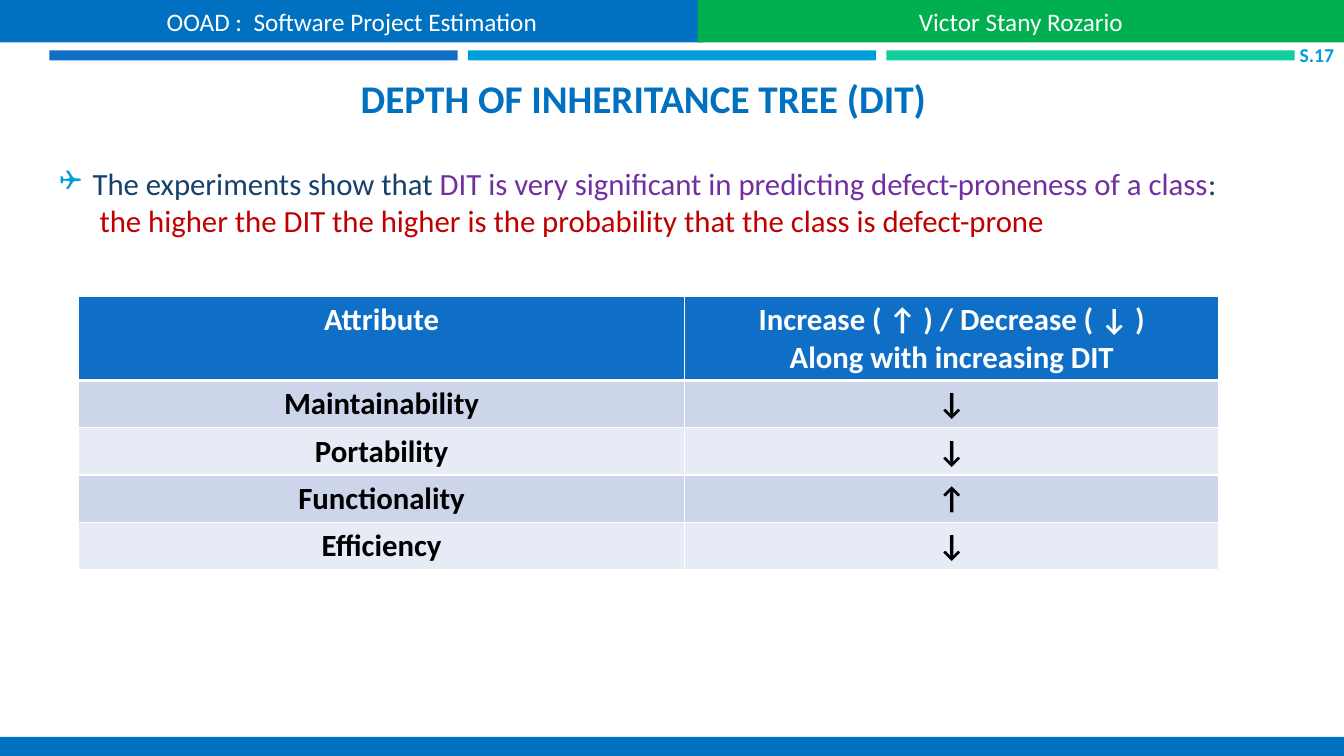
from dataclasses import dataclass

from lxml import etree
from pptx import Presentation
from pptx.dml.color import RGBColor
from pptx.enum.shapes import MSO_SHAPE
from pptx.enum.text import MSO_ANCHOR, PP_ALIGN
from pptx.oxml.ns import qn
from pptx.util import Inches, Pt

RECTANGLE = MSO_SHAPE.RECTANGLE
MIDDLE, TOP, BOTTOM = MSO_ANCHOR.MIDDLE, MSO_ANCHOR.TOP, MSO_ANCHOR.BOTTOM
CENTER, LEFT, RIGHT = PP_ALIGN.CENTER, PP_ALIGN.LEFT, PP_ALIGN.RIGHT
FONT_NAME = "Calibri"
WHITE, BLACK = "FFFFFF", "000000"
BLUE, GREEN, CYAN, NAVY = "0070C0", "00B050", "009DD9", "17406D"
TABLE_BLUE = "0F6FC6"
ROW_FILLS = ("CCD5EA", "E7EBF5")


@dataclass(frozen=True)
class Bar:
    left: float
    top: float
    width: float
    height: float
    fill: str
    text: str = ""


@dataclass(frozen=True)
class TextRun:
    text: str
    color: str


BARS = [
    *(Bar(0.49 + 4.15 * index, 0.5, 4.05, 0.1, fill)
      for index, fill in enumerate((TABLE_BLUE, CYAN, "10CF9B"))),
    Bar(0, 0, 6.98, 0.42, BLUE, "OOAD :  Software Project Estimation"),
    Bar(6.92, 0, 6.41, 0.42, GREEN, "Victor Stany Rozario"),
    Bar(0, 7.31, 13.33, 0.19, BLUE),
]

FINDING_LINES = [
    [TextRun("The experiments show that ", NAVY),
     TextRun("DIT is very significant in predicting defect-proneness of a class", "7030A0"),
     TextRun(": ", NAVY)],
    [TextRun(" the higher the DIT the higher is the probability that the class is defect-prone",
             "C00000")],
]

TABLE_ROWS = [
    ("Attribute", "Increase ( ↑ ) / Decrease ( ↓ )\nAlong with increasing DIT"),
    ("Maintainability", "↓"),
    ("Portability", "↓"),
    ("Functionality", "↑"),
    ("Efficiency", "↓"),
]


def rgb(color: str) -> RGBColor:
    return RGBColor.from_string(color)


def style_paragraph(paragraph, size: float, color: str, bold: bool, alignment) -> None:
    paragraph.alignment = alignment
    font = paragraph.font
    font.name, font.size, font.bold = FONT_NAME, Pt(size), bold
    font.color.rgb = rgb(color)


def add_bar(slide, bar: Bar) -> None:
    shape = slide.shapes.add_shape(RECTANGLE, Inches(bar.left), Inches(bar.top),
                                   Inches(bar.width), Inches(bar.height))
    shape.shadow.inherit = False
    shape.fill.solid()
    shape.fill.fore_color.rgb = rgb(bar.fill)
    shape.line.fill.background()
    if bar.text:
        shape.text_frame.text = bar.text
        shape.text_frame.vertical_anchor = MIDDLE
        style_paragraph(shape.text_frame.paragraphs[0], 18, WHITE, False, CENTER)


def add_text_frame(slide, left: float, top: float, width: float, height: float, anchor):
    text_box = slide.shapes.add_textbox(Inches(left), Inches(top), Inches(width), Inches(height))
    text_frame = text_box.text_frame
    text_frame.word_wrap = True
    text_frame.vertical_anchor = anchor
    return text_frame


def add_label(slide, text: str, left: float, top: float, width: float, height: float,
              anchor, size: float, color: str, alignment):
    text_frame = add_text_frame(slide, left, top, width, height, anchor)
    text_frame.text = text
    style_paragraph(text_frame.paragraphs[0], size, color, True, alignment)
    return text_frame


def set_bullet(paragraph, character: str, color: str, percent: int, indent: float) -> None:
    properties = paragraph._p.get_or_add_pPr()
    properties.set("marL", str(Inches(indent)))
    properties.set("indent", str(-Inches(indent)))
    bullet_color = etree.SubElement(properties, qn("a:buClr"))
    etree.SubElement(bullet_color, qn("a:srgbClr"), val=color)
    etree.SubElement(properties, qn("a:buSzPct"), val=str(percent * 1000))
    etree.SubElement(properties, qn("a:buFont"), typeface="Wingdings")
    etree.SubElement(properties, qn("a:buChar"), char=character)


def add_finding(slide) -> None:
    text_frame = add_text_frame(slide, 0.49, 1.51, 12.27, 1.39, TOP)
    text_frame.margin_top = Inches(0.12)
    paragraph = text_frame.paragraphs[0]
    set_bullet(paragraph, "❑", CYAN, 92, 0.33)
    style_paragraph(paragraph, 22, NAVY, False, LEFT)
    for index, line in enumerate(FINDING_LINES):
        if index:
            paragraph.add_line_break()
        for text_run in line:
            run = paragraph.add_run()
            run.text = text_run.text
            run.font.color.rgb = rgb(text_run.color)


def set_borders(cell, bottom_width: float) -> None:
    properties = cell._tc.get_or_add_tcPr()
    widths = {"lnL": 1, "lnR": 1, "lnT": 1, "lnB": bottom_width}
    for index, (side, width) in enumerate(widths.items()):
        line = etree.Element(qn(f"a:{side}"), w=str(Pt(width)))
        fill = etree.SubElement(line, qn("a:solidFill"))
        etree.SubElement(fill, qn("a:srgbClr"), val=WHITE)
        properties.insert(index, line)


def add_attribute_table(slide) -> None:
    table = slide.shapes.add_table(len(TABLE_ROWS), 2, Inches(0.78), Inches(2.94),
                                   Inches(11.31), Inches(2.71)).table
    for column, width in zip(table.columns, (6.01, 5.3)):
        column.width = Inches(width)
    for row_index, texts in enumerate(TABLE_ROWS):
        is_header = row_index == 0
        table.rows[row_index].height = Inches(0.83 if is_header else 0.47)
        for column_index, text in enumerate(texts):
            cell = table.cell(row_index, column_index)
            cell.text = text
            cell.fill.solid()
            cell.fill.fore_color.rgb = rgb(
                TABLE_BLUE if is_header else ROW_FILLS[(row_index - 1) % 2])
            set_borders(cell, 3 if is_header else 1)
            for paragraph in cell.text_frame.paragraphs:
                style_paragraph(paragraph, 22, WHITE if is_header else BLACK, True, CENTER)


def main() -> None:
    presentation = Presentation()
    presentation.slide_width = Inches(13.33)
    presentation.slide_height = Inches(7.5)
    slide = presentation.slides.add_slide(presentation.slide_layouts[6])
    for bar in BARS:
        add_bar(slide, bar)
    add_label(slide, "DEPTH OF INHERITANCE TREE (DIT)", 0.35, 0.64, 12.06, 0.61,
              BOTTOM, 28, BLUE, CENTER)
    add_finding(slide)
    add_attribute_table(slide)
    page_number = add_label(slide, "S.17", 12.8, 0.39, 0.53, 0.3, MIDDLE, 14, CYAN, RIGHT)
    page_number.margin_left = 0
    presentation.save("out.pptx")


if __name__ == "__main__":
    main()
